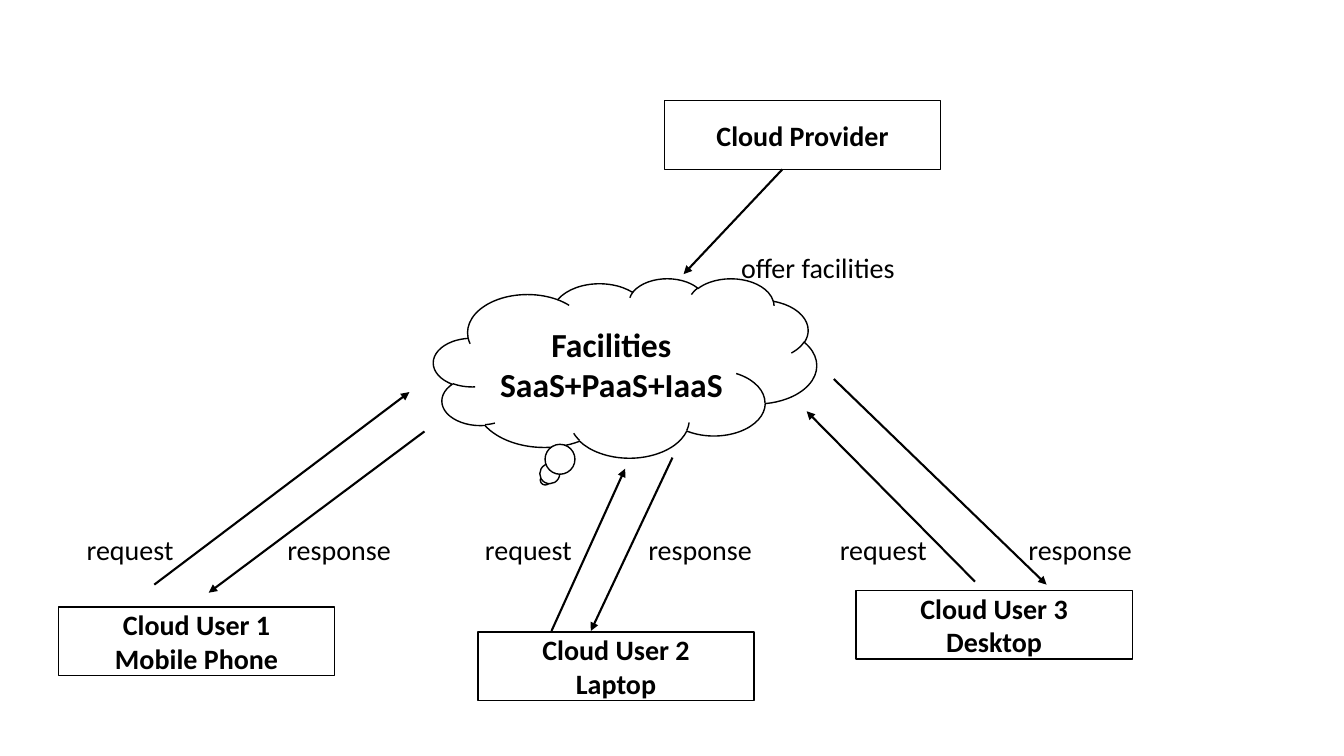
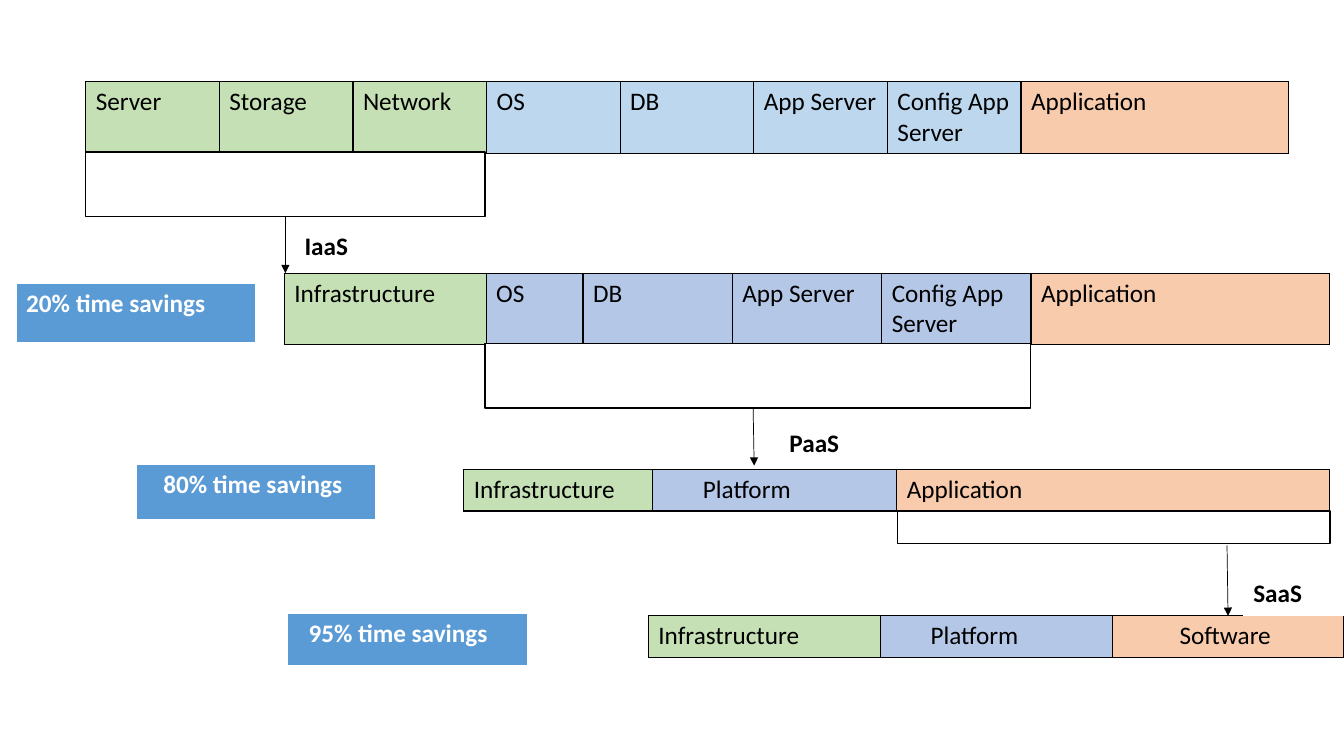
from lxml import etree
from pptx import Presentation
from pptx.dml.color import RGBColor
from pptx.enum.shapes import MSO_CONNECTOR, MSO_SHAPE
from pptx.enum.text import MSO_ANCHOR, PP_ALIGN
from pptx.oxml.ns import qn
from pptx.util import Inches, Pt

RECTANGLE = MSO_SHAPE.RECTANGLE
CLOUD = MSO_SHAPE.CLOUD_CALLOUT
STRAIGHT = MSO_CONNECTOR.STRAIGHT
MIDDLE = MSO_ANCHOR.MIDDLE
CENTER = PP_ALIGN.CENTER
BOTTOM_SIDE = 2

BLACK = RGBColor(0x00, 0x00, 0x00)
WHITE = RGBColor(0xFF, 0xFF, 0xFF)
GREEN = RGBColor(0xC5, 0xE0, 0xB4)
PALE_BLUE = RGBColor(0xBD, 0xD7, 0xEE)
LAVENDER = RGBColor(0xB4, 0xC7, 0xE7)
PEACH = RGBColor(0xF8, 0xCB, 0xAD)
BLUE = RGBColor(0x5B, 0x9B, 0xD5)

FONT = "Calibri"
CELL_MARGIN = 0.1
BLACK_BORDERS = [("lnL", 1), ("lnR", 1), ("lnT", 1), ("lnB", 1)]
WHITE_BORDERS = BLACK_BORDERS[:3] + [("lnB", 3)]

USERS = [
    {"box": (0.58, 6.02, 2.74, 0.68), "lines": ["Cloud User 1", "Mobile Phone"],
     "request": ((0.28, -0.74), (0.95, -0.22), (3.48, -2.13)),
     "response": ((2.27, -0.74), (3.63, -1.74), (1.49, -0.14))},
    {"box": (4.74, 6.27, 2.74, 0.68), "lines": ["Cloud User 2", "Laptop"],
     "request": ((0.07, -0.99), (0.73, -0.01), (1.46, -1.62)),
     "response": ((1.69, -0.99), (1.93, -1.73), (1.12, -0.01))},
    {"box": (8.49, 5.86, 2.74, 0.68), "lines": ["Cloud User 3", "Desktop"],
     "request": ((-0.16, -0.58), (1.18, -0.09), (-0.49, -1.78)),
     "response": ((1.71, -0.58), (-0.22, -2.1), (1.89, -0.06))},
]

STAGES = [
    ((0.85, 0.81, 11.93, 0.7), [
        ("Server", 1, GREEN, 0), ("Storage", 1, GREEN, 0), ("Network", 1, GREEN, 0),
        ("OS", 1, PALE_BLUE, 0), ("DB", 1, PALE_BLUE, 0), ("App Server", 1, PALE_BLUE, 0),
        ("Config App Server", 1, PALE_BLUE, 0), ("Application", 2, PEACH, 0)]),
    ((2.82, 2.71, 10.37, 0.7), [
        ("Infrastructure", 2, GREEN, 0), ("OS", 0.96, LAVENDER, 0), ("DB", 1.48, LAVENDER, 0),
        ("App Server", 1.48, LAVENDER, 0), ("Config App Server", 1.48, LAVENDER, 0),
        ("Application", 2.96, PEACH, 0)]),
    ((4.6, 4.66, 8.59, 0.41), [
        ("Infrastructure", 1.87, GREEN, 0), ("Platform", 2.42, LAVENDER, 0.4),
        ("Application", 4.29, PEACH, 0)]),
    ((6.43, 6.11, 6.9, 0.41), [
        ("Infrastructure", 1, GREEN, 0), ("Platform", 1, LAVENDER, 0.4),
        ("Software", 1, PEACH, 0.57)]),
]

STEPS = [
    {"box": (0.85, 1.51, 3.96, 0.64), "start": None, "end": (1.98, 1.2),
     "name": "IaaS", "label": (2.07, 0.74, 1.99, 0.41)},
    {"box": (4.81, 3.41, 5.41, 0.64), "start": (2.66, 0.64), "end": (2.67, 1.21),
     "name": "PaaS", "label": (2.92, 0.79, 1.99, 0.41)},
    {"box": (8.9, 5.07, 4.29, 0.32), "start": (3.27, 0.34), "end": (3.28, 1.04),
     "name": "SaaS", "label": (3.43, 0.62, 1, 0.4)},
]

SAVINGS = [
    ((0.16, 2.81, 2.38, 0.6), "20% time savings", 0),
    ((1.35, 4.61, 2.38, 0.56), "80% time savings", 0.17),
    ((2.85, 6.09, 2.38, 0.53), "95% time savings", 0.11),
]


def inches(values):
    """Turn plain numbers into lengths."""
    return [Inches(value) for value in values]


def shift(box, offset):
    """Return the point at an offset from the corner of a box."""
    return box[0] + offset[0], box[1] + offset[1]


def add_text(paragraph, text, size, color=BLACK, bold=False):
    """Add one run to a paragraph."""
    run = paragraph.add_run()
    run.text = text
    run.font.name = FONT
    run.font.size = Pt(size)
    run.font.bold = bold
    run.font.color.rgb = color


def add_outline(slide, kind, box, lines=(), size=20):
    """Add a white shape with a black line and centred bold lines of text."""
    shape = slide.shapes.add_shape(kind, *inches(box))
    shape.shadow.inherit = False
    shape.fill.solid()
    shape.fill.fore_color.rgb = WHITE
    shape.line.color.rgb = BLACK
    shape.line.width = Pt(1)
    frame = shape.text_frame
    frame.vertical_anchor = MIDDLE
    for index, line in enumerate(lines):
        paragraph = frame.add_paragraph() if index else frame.paragraphs[0]
        paragraph.alignment = CENTER
        add_text(paragraph, line, size, bold=True)
    return shape


def add_arrow(slide, start, end, width):
    """Add a black straight arrow."""
    arrow = slide.shapes.add_connector(STRAIGHT, *inches((*start, *end)))
    arrow.line.color.rgb = BLACK
    arrow.line.width = Pt(width)
    properties = arrow.element.spPr
    etree.SubElement(properties.find(qn("a:ln")), qn("a:tailEnd"), type="triangle")
    etree.SubElement(properties, qn("a:effectLst"))
    return arrow


def add_caption(slide, position, text):
    """Add a one-line caption without insets."""
    shape = slide.shapes.add_textbox(*inches((*position, 1.6, 0.34)))
    frame = shape.text_frame
    frame.word_wrap = True
    frame.margin_left = frame.margin_right = frame.margin_top = frame.margin_bottom = 0
    add_text(frame.paragraphs[0], text, 20)


def set_borders(cell, borders, color):
    """Give a cell its four borders."""
    properties = cell._tc.get_or_add_tcPr()
    for index, (side, width) in enumerate(borders):
        line = etree.Element(qn("a:" + side), w=str(Pt(width)))
        fill = etree.SubElement(line, qn("a:solidFill"))
        etree.SubElement(fill, qn("a:srgbClr"), val=str(color))
        properties.insert(index, line)


def add_row(slide, box, cells, borders, border_color, text_color=BLACK, bold=False):
    """Add a one-row table of cells given as text, share, fill and indent."""
    table = slide.shapes.add_table(1, len(cells), *inches(box)).table
    table.first_row = table.horz_banding = False
    table.rows[0].height = Inches(box[3])
    total = sum(share for _, share, _, _ in cells)
    for index, (text, share, color, indent) in enumerate(cells):
        table.columns[index].width = Inches(box[2] * share / total)
        cell = table.cell(0, index)
        cell.fill.solid()
        cell.fill.fore_color.rgb = color
        cell.margin_left = Inches(CELL_MARGIN + indent)
        set_borders(cell, borders, border_color)
        add_text(cell.text_frame.paragraphs[0], text, 18, text_color, bold)


def draw_user(slide, user):
    """Draw a user box with its request and response arrows."""
    box = user["box"]
    add_outline(slide, RECTANGLE, box, user["lines"])
    for name in ("request", "response"):
        caption, start, end = user[name]
        add_caption(slide, shift(box, caption), name)
        add_arrow(slide, shift(box, start), shift(box, end), 1.5)


def draw_provider(slide, box):
    """Draw the provider box with its arrow and caption."""
    add_outline(slide, RECTANGLE, box, ["Cloud Provider"])
    add_arrow(slide, shift(box, (1.17, 0.68)), shift(box, (0.19, 1.72)), 1.5)
    add_caption(slide, shift(box, (0.76, 1.49)), "offer facilities")


def draw_step(slide, step):
    """Draw a bracket box, the arrow below it and the service name."""
    box = step["box"]
    bracket = add_outline(slide, RECTANGLE, box)
    start = step["start"] or (box[2] / 2, box[3])
    arrow = add_arrow(slide, shift(box, start), shift(box, step["end"]), 0.5)
    if step["start"] is None:
        arrow.begin_connect(bracket, BOTTOM_SIDE)
    label = step["label"]
    add_row(slide, (*shift(box, label), *label[2:]), [(step["name"], 1, WHITE, 0)],
            WHITE_BORDERS, WHITE, bold=True)


def build_cloud_slide(slide):
    """Build the diagram of provider, cloud and users."""
    add_outline(slide, CLOUD, (4.3, 2.76, 3.8, 1.78), ["Facilities", "SaaS+PaaS+IaaS"], 24)
    draw_provider(slide, (6.59, 1, 2.74, 0.68))
    for user in USERS:
        draw_user(slide, user)


def build_savings_slide(slide):
    """Build the stages from servers to software with their savings."""
    for box, cells in STAGES:
        add_row(slide, box, cells, BLACK_BORDERS, BLACK)
    for step in STEPS:
        draw_step(slide, step)
    for box, text, indent in SAVINGS:
        add_row(slide, box, [(text, 1, BLUE, indent)], WHITE_BORDERS, WHITE, WHITE, True)


def main():
    """Build and save the presentation."""
    presentation = Presentation()
    presentation.slide_width = Inches(13.33)
    presentation.slide_height = Inches(7.5)
    blank = presentation.slide_layouts[6]
    for build in (build_cloud_slide, build_savings_slide):
        build(presentation.slides.add_slide(blank))
    presentation.save("out.pptx")


if __name__ == "__main__":
    main()
